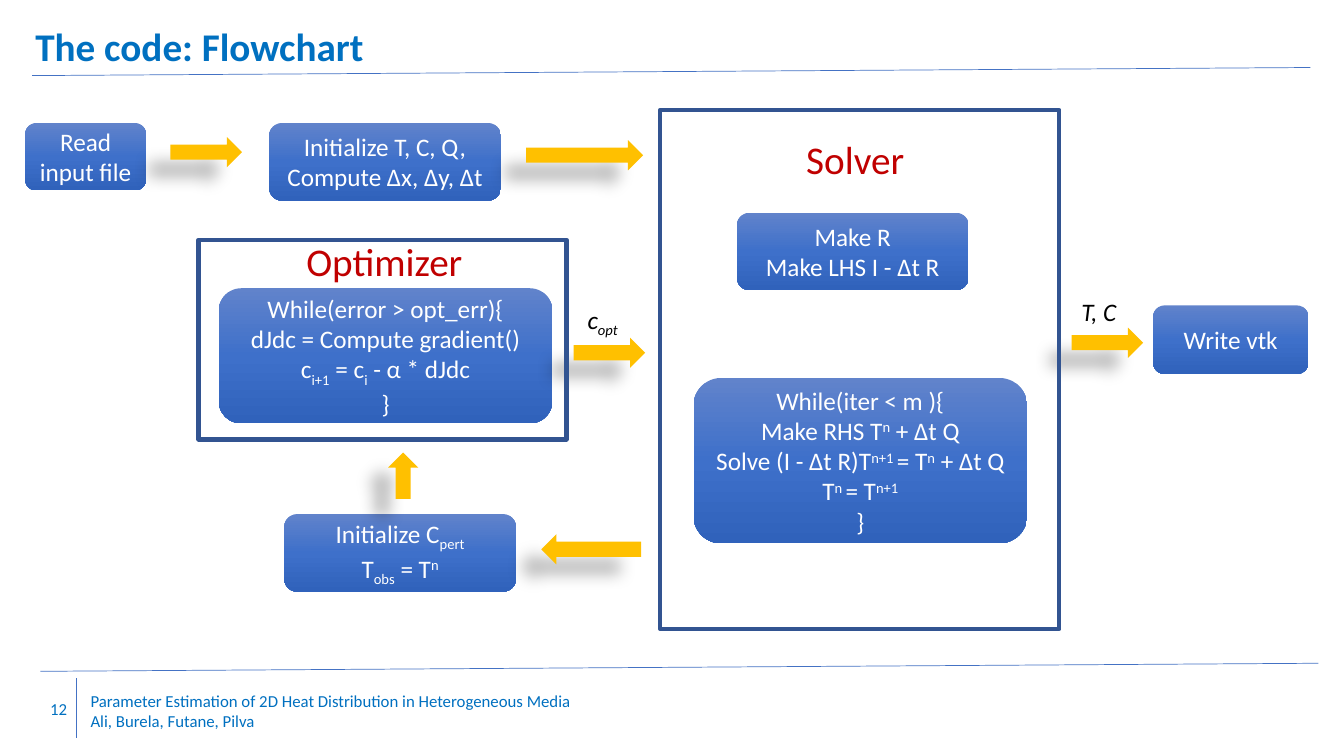
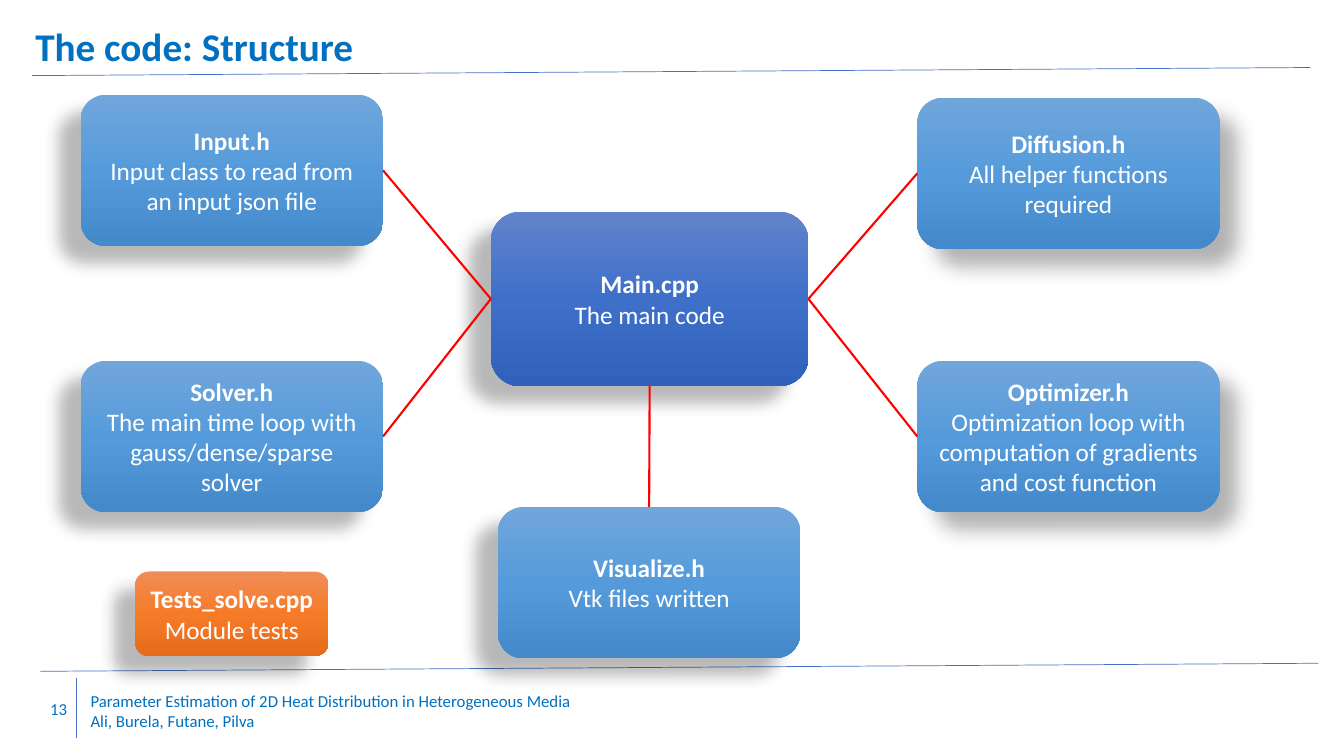
import copy

import lxml.etree
import pptx
import pptx.dml.color
import pptx.enum.shapes
import pptx.enum.text
import pptx.oxml.ns
import pptx.util

SHAPE = pptx.enum.shapes.MSO_SHAPE
ALIGN = pptx.enum.text.PP_ALIGN
ANCHOR = pptx.enum.text.MSO_ANCHOR
qn = pptx.oxml.ns.qn

# Shared look
COLUMNS, ROWS = 133.33, 75
CELL = pptx.util.Inches(0.1)
FONT = "Calibri"
TITLE_BLUE = "0070C0"
RULE_BLUE = "4472C4"
FRAME_BLUE = "325491"
ARROW_GOLD = "FFC000"
HEADING_RED = "C00000"
LINK_RED = "FF0000"
WHITE = "FFFFFF"
BLACK = "000000"
DEEP_BLUE = ("6183CB", "3E70CA", "3062BB")
LIGHT_BLUE = ("71A6DB", "559BDB", "448ACA")
ORANGE = ("F18C57", "F67B28", "E56C19")
# Shadows: opacity in percent, blur and distance in points, angle in degrees
SHADOW_LEFT = (28, 11.8, 19.7, 141)
SHADOW_RIGHT = (30, 15, 18, 45)
FOOTER = ("Parameter Estimation of 2D Heat Distribution in Heterogeneous Media\n"
          "Ali, Burela, Futane, Pilva")
TOP, LEFT, BOTTOM, RIGHT = range(4)  # connection sites of a box


def cells(*counts):
    """Turn counts of grid columns or rows into lengths."""
    return [pptx.util.Emu(round(count * CELL)) for count in counts]


def color(value):
    return pptx.dml.color.RGBColor.from_string(value)


def format_run(run, size, ink, bold=False, italic=False):
    run.font.name = FONT
    run.font.size = pptx.util.Pt(size)
    run.font.bold = bold
    run.font.italic = italic
    run.font.color.rgb = color(ink)


def write(frame, text, size, ink, align=ALIGN.LEFT, anchor=ANCHOR.TOP,
          bold_first=False, italic=False):
    """Fill a frame; '|_' starts a subscript, '|^' a superscript, '|' ends it."""
    frame.word_wrap = True
    frame.vertical_anchor = anchor
    frame.text = text
    for index, paragraph in enumerate(frame.paragraphs):
        paragraph.alignment = align
        first, *others = paragraph.text.split("|")
        paragraph.text = first
        for piece in others:
            run = paragraph.add_run()
            run.text = piece.lstrip("_^")
            baseline = {"_": "-25000", "^": "30000"}.get(piece[0])
            if baseline:
                run.font._element.set("baseline", baseline)
        for run in paragraph.runs:
            format_run(run, size, ink, bold_first and index == 0, italic)


def add_label(slide, place, text, size, ink, **style):
    label = slide.shapes.add_textbox(*cells(*place))
    write(label.text_frame, text, size, ink, **style)


def add_line(slide, start, end, ink, width):
    line = slide.shapes.add_connector(
        pptx.enum.shapes.MSO_CONNECTOR.STRAIGHT, *cells(*start, *end))
    line.line.color.rgb = color(ink)
    line.line.width = pptx.util.Pt(width)
    lxml.etree.SubElement(line._element.spPr, qn("a:effectLst"))
    return line


def add_plain_shape(slide, kind, place):
    shape = slide.shapes.add_shape(kind, *cells(*place))
    shape.shadow.inherit = False
    shape.line.fill.background()
    return shape


def cast_shadow(shape, opacity, blur, distance, angle):
    effects = shape._element.spPr.find(qn("a:effectLst"))
    outer = lxml.etree.SubElement(
        effects, qn("a:outerShdw"), blurRad=str(pptx.util.Pt(blur)),
        dist=str(pptx.util.Pt(distance)), dir=str(angle * 60000),
        algn="ctr", rotWithShape="0")
    ink = lxml.etree.SubElement(outer, qn("a:srgbClr"), val=BLACK)
    lxml.etree.SubElement(ink, qn("a:alpha"), val=str(opacity * 1000))


def fill_gradient(shape, inks):
    """Three colours running evenly from top to bottom."""
    shape.fill.gradient()
    shape.fill.gradient_angle = 270
    stop_list = shape._element.spPr.find(qn("a:gradFill")).find(qn("a:gsLst"))
    stop_list.insert(1, copy.deepcopy(stop_list[0]))
    for index, (stop, ink) in enumerate(zip(shape.fill.gradient_stops, inks)):
        stop.position = index / 2
        stop.color.rgb = color(ink)


def add_box(slide, place, text, inks=DEEP_BLUE, shadow=None, bold_first=False):
    box = add_plain_shape(slide, SHAPE.ROUNDED_RECTANGLE, place)
    fill_gradient(box, inks)
    if shadow:
        cast_shadow(box, *shadow)
    write(box.text_frame, text, 18, WHITE, ALIGN.CENTER, ANCHOR.MIDDLE, bold_first)
    return box


def add_arrow(slide, kind, place):
    arrow = add_plain_shape(slide, kind, place)
    arrow.fill.solid()
    arrow.fill.fore_color.rgb = color(ARROW_GOLD)
    cast_shadow(arrow, *SHADOW_LEFT)


def add_stage(slide, place, heading, heading_place):
    """An outlined stage of the program with its red heading."""
    frame = add_plain_shape(slide, SHAPE.RECTANGLE, place)
    frame.fill.background()
    frame.line.color.rgb = color(FRAME_BLUE)
    frame.line.width = pptx.util.Pt(3)
    add_label(slide, heading_place, heading, 28, HEADING_RED)


def link(slide, box, site, other, other_site):
    line = add_line(slide, (0, 0), (1, 1), LINK_RED, 1.5)
    line.begin_connect(box, site)
    line.end_connect(other, other_site)


def start_slide(deck, title, number):
    """A slide with title, rules and footer."""
    slide = deck.slides.add_slide(deck.slide_layouts[5])
    heading = slide.shapes.title
    heading.left, heading.top, heading.width, heading.height = cells(2.5, 1.7, 93.9, 5.7)
    heading.text_frame.auto_size = pptx.enum.text.MSO_AUTO_SIZE.NONE
    write(heading.text_frame, title, 28, TITLE_BLUE, bold_first=True)
    for start, end in (((3.2, 7.5), (130, 6.7)),
                       ((4, 66.6), (130.8, 65.8)),
                       ((7.6, 67.3), (7.6, 73.2))):
        add_line(slide, start, end, RULE_BLUE, 0.5)
    add_label(slide, (8, 68.5, 55.8, 4), FOOTER, 12, TITLE_BLUE, anchor=ANCHOR.MIDDLE)
    add_label(slide, (4, 68.3, 4.7, 4), str(number), 12, TITLE_BLUE,
              anchor=ANCHOR.MIDDLE)
    return slide


def build_flowchart(deck):
    slide = start_slide(deck, "The code: Flowchart", 12)

    # Steps
    for place, text in (
        ((2.5, 12.2, 12, 6.7), "Read input file"),
        ((26.7, 12.2, 23, 7.7), "Initialize T, C, Q,\nCompute Δx, Δy, Δt"),
        ((28.2, 51, 23, 7.7), "Initialize C|_pert\nT|_obs| = T|^n"),
        ((21.7, 28.6, 33.1, 13.4),
         "While(error > opt_err){\ndJdc = Compute gradient()\n"
         "c|_i+1| = c|_i| - α * dJdc\n}"),
        ((114.4, 30.3, 15.4, 6.8), "Write vtk"),
        ((73.1, 21.1, 23, 7.7), "Make R\nMake LHS I - Δt R"),
        ((68.8, 37.5, 33.1, 16.4),
         "While(iter < m ){\nMake RHS T|^n| + Δt Q\n"
         "Solve (I - Δt R)T|^n+1 |= T|^n| + Δt Q\nT|^n |= T|^n+1\n}"),
    ):
        add_box(slide, place, text)

    # Flow between the steps
    for kind, place in (
        (SHAPE.RIGHT_ARROW, (16.9, 13.6, 7.1, 3)),
        (SHAPE.RIGHT_ARROW, (52.2, 13.9, 11.6, 3)),
        (SHAPE.RIGHT_ARROW, (56.9, 33.5, 7.1, 3)),
        (SHAPE.RIGHT_ARROW, (106.3, 32.5, 7.1, 3)),
        (SHAPE.LEFT_ARROW, (53.7, 53, 9.9, 3)),
        (SHAPE.UP_ARROW, (38.5, 44.9, 3, 4.6)),
    ):
        add_arrow(slide, kind, place)

    # Stages and the values they hand over
    add_stage(slide, (19.7, 23.8, 36.5, 19.8), "Optimizer", (29.4, 23.1, 19.3, 5.7))
    add_stage(slide, (65.5, 10.9, 39.6, 51.5), "Solver", (79, 12.9, 12.7, 5.7))
    add_label(slide, (57.3, 29.7, 6.8, 4), "c|_opt", 18, BLACK, italic=True)
    add_label(slide, (106.3, 28.9, 6.8, 4), "T, C", 18, BLACK, italic=True)


def build_structure(deck):
    slide = start_slide(deck, "The code: Structure", 13)
    main_file = add_box(slide, (48.7, 21, 31.5, 17.3), "Main.cpp\nThe main code",
                        DEEP_BLUE, SHADOW_LEFT, True)

    # Header files, each linked to the main file
    for corner, text, shadow, main_site, site in (
        ((8, 9.4), "Input.h\nInput class to read from an input json file",
         SHADOW_LEFT, LEFT, RIGHT),
        ((91, 9.7), "Diffusion.h\nAll helper functions required",
         SHADOW_RIGHT, RIGHT, LEFT),
        ((8, 35.8), "Solver.h\nThe main time loop with gauss/dense/sparse solver",
         SHADOW_LEFT, LEFT, RIGHT),
        ((49.4, 50.3), "Visualize.h\nVtk files written", SHADOW_LEFT, BOTTOM, TOP),
        ((91, 35.8), "Optimizer.h\nOptimization loop with computation of gradients "
         "and cost function", SHADOW_RIGHT, RIGHT, LEFT),
    ):
        header = add_box(slide, (*corner, 30, 15), text, LIGHT_BLUE, shadow, True)
        link(slide, main_file, main_site, header, site)

    # Tests stand apart
    add_box(slide, (13.4, 56.7, 19.2, 8.4), "Tests_solve.cpp\nModule tests",
            ORANGE, SHADOW_LEFT, True)


def main():
    deck = pptx.Presentation()
    deck.slide_width, deck.slide_height = cells(COLUMNS, ROWS)
    build_flowchart(deck)
    build_structure(deck)
    deck.save("out.pptx")


if __name__ == "__main__":
    main()
